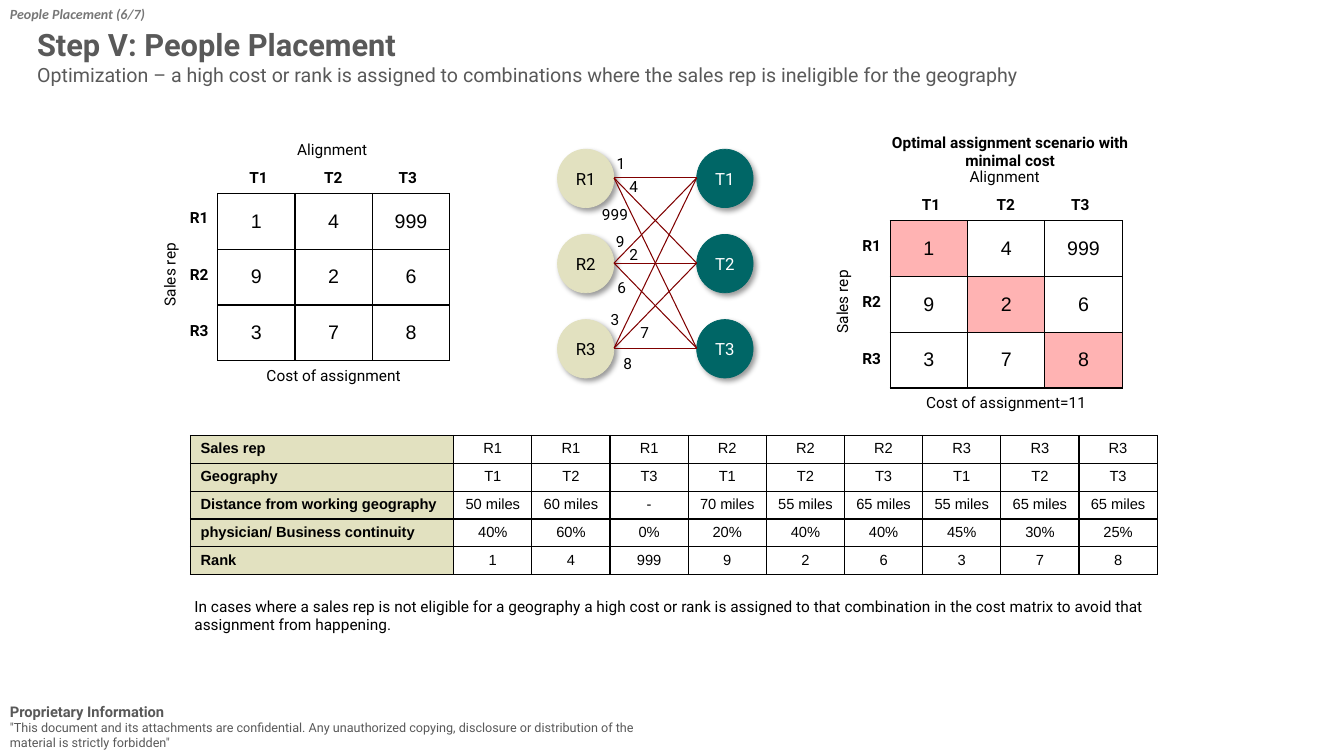
from lxml import etree
from pptx import Presentation
from pptx.dml.color import RGBColor
from pptx.enum.shapes import MSO_CONNECTOR, MSO_SHAPE
from pptx.enum.text import MSO_ANCHOR, MSO_AUTO_SIZE, PP_ALIGN
from pptx.oxml import parse_xml
from pptx.oxml.ns import nsdecls, qn
from pptx.util import Inches, Pt

LEFT, CENTER = PP_ALIGN.LEFT, PP_ALIGN.CENTER
TOP, MIDDLE = MSO_ANCHOR.TOP, MSO_ANCHOR.MIDDLE
GROW = MSO_AUTO_SIZE.SHAPE_TO_FIT_TEXT
OVAL, STRAIGHT = MSO_SHAPE.OVAL, MSO_CONNECTOR.STRAIGHT

COLORS = {
    "black": "000000", "white": "FFFFFF", "heading": "595959", "crumb": "777777",
    "rep": "E2E1C0", "territory": "006666", "link": "800000", "chosen": "FFB3B3",
}
REPS = ["R1", "R2", "R3"]
TERRITORIES = ["T1", "T2", "T3"]
COSTS = [[1, 4, 999], [9, 2, 6], [3, 7, 8]]
DISTANCES = ["50 miles", "60 miles", "-", "70 miles", "55 miles", "65 miles",
             "55 miles", "65 miles", "65 miles"]
CONTINUITY = ["40%", "60%", "0%", "20%", "40%", "40%", "45%", "30%", "25%"]


def rgb(name):
    return RGBColor.from_string(COLORS[name])


class SlideBuilder:
    """Draws styled elements on one slide; all lengths are in inches."""

    def __init__(self, slide, font="Roboto", table_font="Arial"):
        self.shapes = slide.shapes
        self.font = font
        self.table_font = table_font

    def style(self, paragraph, size, color="black", bold=False, align=LEFT, font=None):
        paragraph.alignment = align
        paragraph.font.name = font or self.font
        paragraph.font.size = Pt(size)
        paragraph.font.bold = bold
        paragraph.font.color.rgb = rgb(color)

    def text(self, box, lines, color="black", align=LEFT, anchor=TOP, wrap=True,
             rotation=0, font=None):
        """Add a text box; lines holds (text, size, bold) for each paragraph."""
        textbox = self.shapes.add_textbox(*map(Inches, box))
        textbox.rotation = rotation
        frame = textbox.text_frame
        frame.word_wrap = wrap
        frame.auto_size = GROW
        frame.vertical_anchor = anchor
        for index, (words, size, bold) in enumerate(lines):
            paragraph = frame.add_paragraph() if index else frame.paragraphs[0]
            paragraph.text = words
            self.style(paragraph, size, color, bold, align, font)
        return textbox

    def label(self, box, words, bold=False, rotation=0):
        return self.text(box, [(words, 11, bold)], align=CENTER, rotation=rotation)

    def link_cost(self, box, cost):
        frame = self.label(box, str(cost)).text_frame
        frame.word_wrap = False
        frame.margin_left = frame.margin_right = 0

    def node(self, x, y, name, fill, color):
        circle = self.shapes.add_shape(OVAL, *map(Inches, (x, y, 0.56, 0.58)))
        circle.fill.solid()
        circle.fill.fore_color.rgb = rgb(fill)
        circle.line.color.rgb = rgb(fill)
        circle.line.width = Pt(0.5)
        circle._element.spPr.append(parse_xml(
            f'<a:effectLst {nsdecls("a")}><a:outerShdw blurRad="{Pt(4)}" '
            f'dist="{Pt(3)}" dir="2700000" algn="tl" rotWithShape="0">'
            f'<a:srgbClr val="{COLORS["black"]}"><a:alpha val="40000"/></a:srgbClr>'
            '</a:outerShdw></a:effectLst>'))
        frame = circle.text_frame
        frame.word_wrap = False
        frame.vertical_anchor = MIDDLE
        frame.margin_left = frame.margin_right = Inches(0.05)
        frame.margin_top = frame.margin_bottom = Inches(0.05)
        frame.text = name
        self.style(frame.paragraphs[0], 12, color, align=CENTER)

    def link(self, x1, y1, x2, y2):
        line = self.shapes.add_connector(STRAIGHT, *map(Inches, (x1, y1, x2, y2)))
        line.line.color.rgb = rgb("link")
        line.line.width = Pt(0.75)
        etree.SubElement(line._element.spPr, qn("a:effectLst"))

    def cell(self, cell, value, size, fill=None, bold=False, align=CENTER, anchor=TOP):
        cell.text = str(value)
        cell.vertical_anchor = anchor
        self.style(cell.text_frame.paragraphs[0], size, bold=bold, align=align,
                   font=self.table_font)
        properties = cell._tc.get_or_add_tcPr()
        for side in ("lnL", "lnR", "lnT", "lnB"):
            properties.append(parse_xml(
                f'<a:{side} {nsdecls("a")} w="{Pt(1)}"><a:solidFill>'
                f'<a:srgbClr val="{COLORS["black"]}"/></a:solidFill></a:{side}>'))
        if fill:
            cell.fill.solid()
            cell.fill.fore_color.rgb = rgb(fill)
        else:
            cell.fill.background()

    def grid(self, x, y, column_widths, row_height, row_count):
        """Add a plain, unbanded table and return it."""
        size = (sum(column_widths), row_height * row_count)
        table = self.shapes.add_table(row_count, len(column_widths),
                                      *map(Inches, (x, y, *size))).table
        table.first_row = table.horz_banding = False
        for column, width in zip(table.columns, column_widths):
            column.width = Inches(width)
        for row in table.rows:
            row.height = Inches(row_height)
        return table

    def cost_matrix(self, x, y, caption, chosen=None):
        """Draw the costs with their labels, filling the diagonal if chosen is given."""
        table = self.grid(x, y, [2.3 / 3] * 3, 1.66 / 3, 3)
        for row, costs in enumerate(COSTS):
            for column, cost in enumerate(costs):
                self.cell(table.cell(row, column), cost, 14,
                          chosen if row == column else None, anchor=MIDDLE)
        for index, (rep, territory) in enumerate(zip(REPS, TERRITORIES)):
            self.label((x - 0.39, y + 0.1 + 0.56 * index, 0.41, 0.29), rep, bold=True)
            self.label((x + 0.2 + 0.74 * index, y - 0.3, 0.41, 0.29), territory, bold=True)
        self.label((x - 0.02, y + 1.66, 2.34, 0.29), caption)
        self.label((x - 1.3, y + 0.66, 1.65, 0.29), "Sales rep", rotation=270)
        self.label((x + 0.19, y - 0.58, 1.89, 0.29), "Alignment")

    def assignment_network(self):
        tops = [1.48 + 0.845 * index for index in range(3)]
        for top, rep, territory in zip(tops, REPS, TERRITORIES):
            self.node(5.53, top, rep, "rep", "black")
            self.node(6.91, top, territory, "territory", "white")
        for rep_top in tops:
            for territory_top in tops:
                self.link(6.09, rep_top + 0.285, 6.91, territory_top + 0.285)
        places = [(6.03, 1.48, 0.26), (6.22, 1.71, 0.13), (5.76, 1.99, 0.68),
                  (6.09, 2.25, 0.12), (6.22, 2.38, 0.13), (6.09, 2.71, 0.15),
                  (6.04, 3.03, 0.12), (6.29, 3.16, 0.21), (6.16, 3.46, 0.13)]
        for place, cost in zip(places, sum(COSTS, [])):
            self.link_cost((*place, 0.29), cost)

    def ranking_table(self):
        rows = {
            "Sales rep": [rep for rep in REPS for _ in TERRITORIES],
            "Geography": TERRITORIES * len(REPS),
            "Distance from working geography": DISTANCES,
            "physician/ Business continuity": CONTINUITY,
            "Rank": sum(COSTS, []),
        }
        table = self.grid(1.89, 4.32, [2.61] + [6.98 / 9] * 9, 1.38 / 5, len(rows))
        for row, (heading, values) in enumerate(rows.items()):
            self.cell(table.cell(row, 0), heading, 10.5, "rep", bold=True, align=LEFT)
            for column, value in enumerate(values, 1):
                self.cell(table.cell(row, column), value, 10.5)


def main():
    deck = Presentation()
    deck.slide_width, deck.slide_height = Inches(13.33), Inches(7.5)
    page = SlideBuilder(deck.slides.add_slide(deck.slide_layouts[6]))

    page.text((0, 6.92, 6.67, 0.58), [
        ("Proprietary Information", 10.5, True),
        ('"This document and its attachments are confidential. Any unauthorized copying, '
         'disclosure or distribution of the material is strictly forbidden"', 9, False),
    ], "heading")
    page.text((0.27, 0.2, 12.17, 0.71), [
        ("Step V: People Placement", 22, True),
        ("Optimization – a high cost or rank is assigned to combinations where the "
         "sales rep is ineligible for the geography", 14, False),
    ], "heading", anchor=MIDDLE)
    page.cost_matrix(2.16, 1.92, "Cost of assignment")
    page.assignment_network()
    page.cost_matrix(8.83, 2.19, "Cost of assignment=11", "chosen")
    page.label((8.55, 1.27, 2.94, 0.47),
               "Optimal assignment scenario with minimal cost", bold=True)
    page.ranking_table()
    page.text((1.83, 5.87, 9.67, 0.47), [
        ("In cases where a sales rep is not eligible for a geography a high cost or rank is "
         "assigned to that combination in the cost matrix to avoid that assignment from "
         "happening.", 11, False)])
    crumb = page.text((0, 0.01, 1.57, 0.27), [("People Placement (6/7)", 10, True)],
                      "crumb", wrap=False, font="Calibri")
    crumb.text_frame.paragraphs[0].font.italic = True
    deck.save("out.pptx")


if __name__ == "__main__":
    main()
